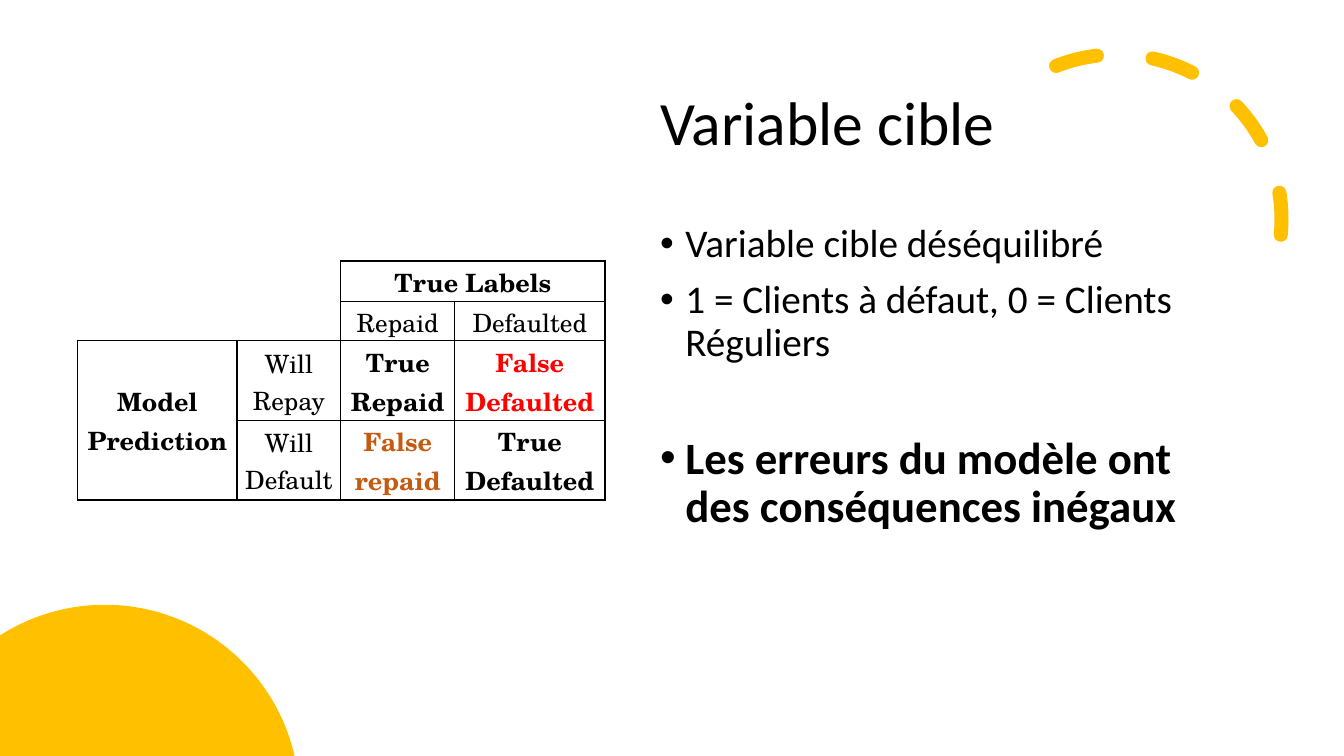
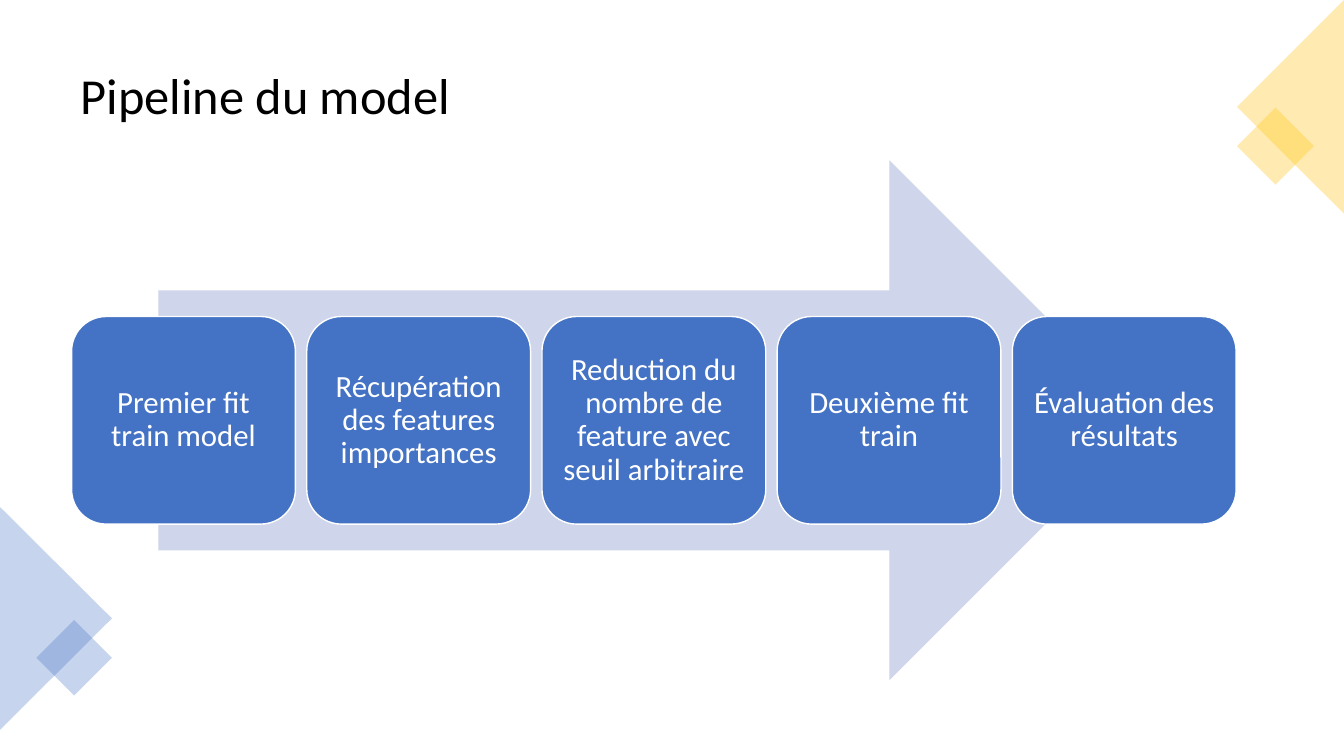
import math
from typing import NamedTuple, Optional

from lxml import etree
from pptx import Presentation
from pptx import util as u
from pptx.dml.color import RGBColor
from pptx.enum import dml, shapes, text
from pptx.oxml import ns

# Shared look
BLACK = RGBColor(0x00, 0x00, 0x00)
WHITE = RGBColor(0xFF, 0xFF, 0xFF)
GOLD = RGBColor(0xFF, 0xC0, 0x00)
BLUE = RGBColor(0x44, 0x72, 0xC4)
PALE_BLUE = RGBColor(0xCF, 0xD5, 0xEA)
RED = RGBColor(0xFF, 0x00, 0x00)
RUST = RGBColor(0xC5, 0x5A, 0x11)
BODY_FONT = "Calibri"
TABLE_FONT = "TeX Gyre Schola"
SHAPE = shapes.MSO_SHAPE
ALIGN = text.PP_ALIGN
ANCHOR = text.MSO_ANCHOR


class Box(NamedTuple):
    left: float
    top: float
    width: float
    height: float

    def lengths(self) -> tuple:
        return tuple(u.Inches(v) for v in self)


class Bullet(NamedTuple):
    text: str
    size: int
    bold: bool
    before: float


class Label(NamedTuple):
    row: int
    col: int
    text: str
    bold: bool = False
    color: RGBColor = BLACK
    rows: int = 1
    cols: int = 1


class Decor(NamedTuple):
    kind: int
    box: Box
    rotation: float
    color: RGBColor


BULLETS = [
    Bullet("Variable cible déséquilibré", 28, False, 0),
    Bullet("1 = Clients à défaut, 0 = Clients Réguliers", 28, False, 10),
    Bullet("Les erreurs du modèle ont des conséquences inégaux", 32, True, 50.7),
]
COL_WIDTHS = [1.58, 1.03, 1.13, 1.49]
ROW_HEIGHTS = [0.4, 0.39, 0.79, 0.79]
LABELS = [
    Label(0, 2, "True Labels", True, cols=2),
    Label(1, 2, "Repaid"),
    Label(1, 3, "Defaulted"),
    Label(2, 0, "Model Prediction", True, rows=2),
    Label(2, 1, "Will Repay"),
    Label(2, 2, "True Repaid", True),
    Label(2, 3, "False Defaulted", True, RED),
    Label(3, 1, "Will Default"),
    Label(3, 2, "False repaid", True, RUST),
    Label(3, 3, "True Defaulted", True),
]
STEPS = [
    "Premier fit train model",
    "Récupération des features importances",
    "Reduction du nombre de feature avec seuil arbitraire",
    "Deuxième fit train",
    "Évaluation des résultats",
]
DECOR = [
    Decor(SHAPE.ISOSCELES_TRIANGLE, Box(-0.55, 5.58, 2.21, 1.11), 90, BLUE),
    Decor(SHAPE.RECTANGLE, Box(0.47, 6.26, 0.53, 0.53), 45, BLUE),
    Decor(SHAPE.RECTANGLE, Box(12.38, 1.18, 0.54, 0.54), 45, GOLD),
    Decor(SHAPE.ISOSCELES_TRIANGLE, Box(11.74, 0.53, 2.12, 1.06), 270, GOLD),
]


# Helpers
def apply(target, values: dict) -> None:
    for name, value in values.items():
        setattr(target, name, value)


def add_run(p, words: str, size: float, color: RGBColor = BLACK,
            bold: bool = False, font: str = BODY_FONT) -> None:
    r = p.add_run()
    r.text = words
    apply(r.font, {"name": font, "size": u.Pt(size), "bold": bold})
    r.font.color.rgb = color


def paint(sp, fill: Optional[RGBColor]) -> None:
    sp.shadow.inherit = False
    sp.line.fill.background()
    if fill is None:
        sp.fill.background()
    else:
        sp.fill.solid()
        sp.fill.fore_color.rgb = fill


def add_shape(s, kind: int, box: Box, fill: Optional[RGBColor]):
    sp = s.shapes.add_shape(kind, *box.lengths())
    paint(sp, fill)
    return sp


def add_text_frame(s, box: Box, anchor):
    tf = s.shapes.add_textbox(*box.lengths()).text_frame
    apply(tf, {"word_wrap": True, "vertical_anchor": anchor})
    return tf


def add_title(s, words: str, box: Box, size: float) -> None:
    p = add_text_frame(s, box, ANCHOR.MIDDLE).paragraphs[0]
    p.line_spacing = 0.9
    add_run(p, words, size)


# Target variable slide
def add_dashed_arc(s) -> None:
    sp = add_shape(s, SHAPE.ARC, Box(9.44, 0.54, 3.27, 3.27), None)
    sp.adjustments[0], sp.adjustments[1] = 144.42, 0
    sp.rotation = 66.1
    sp.line.color.rgb = GOLD
    apply(sp.line, {"width": u.Pt(10), "dash_style": dml.MSO_LINE.DASH})
    sp.line._get_or_add_ln().set("cap", "rnd")
    sp._element.spPr.find(ns.qn("a:xfrm")).set("flipH", "1")


def add_corner_disc(s) -> None:
    cx, cy, radius, bottom, steps = 1.04, 7.93, 1.93, 7.5, 60
    start = math.pi + math.acos(cx / radius)
    end = 2 * math.pi - math.asin((cy - bottom) / radius)
    angles = [start + (end - start) * i / steps for i in range(steps + 1)]
    rim = [(u.Inches(cx + radius * math.cos(a)),
            u.Inches(cy + radius * math.sin(a))) for a in angles]
    builder = s.shapes.build_freeform(0, u.Inches(bottom))
    builder.add_line_segments(rim, close=True)
    paint(builder.convert_to_shape(), GOLD)


def add_bullets(s, box: Box) -> None:
    tf = add_text_frame(s, box, ANCHOR.TOP)
    for i, item in enumerate(BULLETS):
        p = tf.add_paragraph() if i else tf.paragraphs[0]
        apply(p, {"line_spacing": 0.9, "space_before": u.Pt(item.before)})
        add_run(p, item.text, item.size, bold=item.bold)
        pPr = p._p.get_or_add_pPr()
        pPr.set("marL", str(u.Inches(0.25)))
        pPr.set("indent", str(-u.Inches(0.25)))
        etree.SubElement(pPr, ns.qn("a:buFont")).set("typeface", "Arial")
        etree.SubElement(pPr, ns.qn("a:buChar")).set("char", "•")


def set_borders(cell, visible: str) -> None:
    tcPr = cell._tc.get_or_add_tcPr()
    for i, side in enumerate("LRTB"):
        ln = etree.Element(ns.qn(f"a:ln{side}"), w=str(u.Pt(1)))
        if side in visible:
            fill = etree.SubElement(ln, ns.qn("a:solidFill"))
            etree.SubElement(fill, ns.qn("a:srgbClr")).set("val", str(BLACK))
        else:
            etree.SubElement(ln, ns.qn("a:noFill"))
        tcPr.insert(i, ln)


def add_confusion_table(s) -> None:
    box = Box(0.77, 2.59, sum(COL_WIDTHS), sum(ROW_HEIGHTS))
    table = s.shapes.add_table(len(ROW_HEIGHTS), len(COL_WIDTHS),
                               *box.lengths()).table
    apply(table, {"first_row": False, "horz_banding": False})
    for col, width in zip(table.columns, COL_WIDTHS):
        col.width = u.Inches(width)
    for row, height in zip(table.rows, ROW_HEIGHTS):
        row.height = u.Inches(height)

    # Cell frames: the top-left corner stays open
    inset = u.Inches(0.02)
    for r in range(len(ROW_HEIGHTS)):
        for c in range(len(COL_WIDTHS)):
            cell = table.cell(r, c)
            apply(cell, {"margin_left": inset, "margin_right": inset,
                         "margin_top": inset, "margin_bottom": 0,
                         "vertical_anchor": ANCHOR.MIDDLE})
            cell.fill.background()
            corner = ("R" if c == 1 else "") + ("B" if r == 1 else "")
            set_borders(cell, corner if r < 2 and c < 2 else "LRTB")

    for label in LABELS:
        cell = table.cell(label.row, label.col)
        if label.rows * label.cols > 1:
            cell.merge(table.cell(label.row + label.rows - 1,
                                  label.col + label.cols - 1))
        p = cell.text_frame.paragraphs[0]
        p.alignment = ALIGN.CENTER
        add_run(p, label.text, 18, label.color, label.bold, TABLE_FONT)


def build_target_slide(s) -> None:
    add_dashed_arc(s)
    add_title(s, "Variable cible", Box(6.45, 0.52, 5.97, 1.45), 44)
    add_corner_disc(s)
    add_bullets(s, Box(6.45, 2.17, 5.97, 4.58))
    add_confusion_table(s)


# Pipeline slide
def add_step(s, words: str, box: Box) -> None:
    sp = add_shape(s, SHAPE.ROUNDED_RECTANGLE, box, BLUE)
    sp.line.color.rgb = WHITE
    sp.line.width = u.Pt(1)
    tf = sp.text_frame
    sides = ("left", "right", "top", "bottom")
    apply(tf, {f"margin_{side}": u.Inches(0.09) for side in sides})
    apply(tf, {"word_wrap": True, "vertical_anchor": ANCHOR.MIDDLE})
    p = tf.paragraphs[0]
    apply(p, {"alignment": ALIGN.CENTER, "line_spacing": 0.9})
    add_run(p, words, 22, WHITE)


def add_decor(s, item: Decor) -> None:
    sp = add_shape(s, item.kind, item.box, item.color)
    sp.rotation = item.rotation
    color = sp._element.spPr.find(ns.qn("a:solidFill"))[0]
    etree.SubElement(color, ns.qn("a:alpha")).set("val", "30000")


def build_pipeline_slide(s) -> None:
    add_title(s, "Pipeline du model", Box(0.7, 0.35, 11.93, 1.24), 36)
    add_shape(s, SHAPE.RIGHT_ARROW, Box(1.57, 1.59, 9.83, 5.16), PALE_BLUE)
    left, right, width = 0.71, 12.26, 2.22
    pitch = (right - left - width) / (len(STEPS) - 1)
    for i, words in enumerate(STEPS):
        add_step(s, words, Box(left + i * pitch, 3.14, width, 2.06))
    for item in DECOR:
        add_decor(s, item)


def main() -> None:
    prs = Presentation()
    apply(prs, {"slide_width": u.Inches(13.33), "slide_height": u.Inches(7.5)})
    for build in (build_target_slide, build_pipeline_slide):
        build(prs.slides.add_slide(prs.slide_layouts[6]))
    prs.save("out.pptx")


if __name__ == "__main__":
    main()
